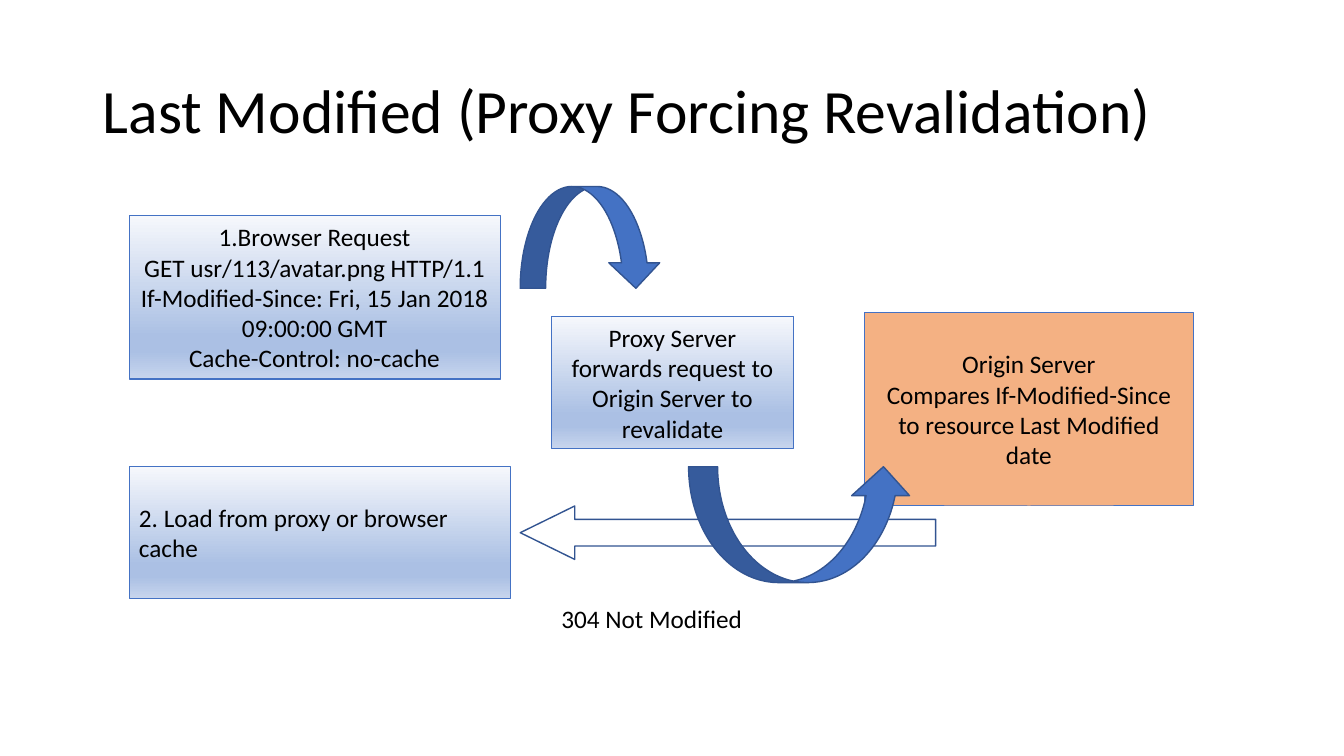
from lxml.etree import SubElement
from pptx import Presentation
from pptx.dml.color import RGBColor
from pptx.enum.shapes import MSO_SHAPE
from pptx.enum.text import MSO_ANCHOR, PP_ALIGN
from pptx.oxml.ns import qn
from pptx.util import Inches, Pt

STOPS = [(0, "F6F8FC"), (74, "ABC0E4"), (83, "ABC0E4"), (100, "C7D5ED")]


def write(shape, text, size=18, align=PP_ALIGN.CENTER, gap=1.0):
    frame = shape.text_frame
    frame.word_wrap = True
    frame.vertical_anchor = MSO_ANCHOR.MIDDLE
    frame.text = text
    for line in frame.paragraphs:
        line.alignment = align
        line.line_spacing = gap
        line.font.size = Pt(size)
        line.font.name = "Calibri"
        line.font.color.rgb = RGBColor.from_string("000000")


def draw(kind, place, fill, edge, width):
    """Add a shape; fill is a hex colour or a list of gradient stops."""
    shape = slide.shapes.add_shape(kind, *map(Inches, place))
    shape.shadow.inherit = False
    shape.line.color.rgb = RGBColor.from_string(edge)
    shape.line.width = Pt(width)
    if isinstance(fill, str):
        shape.fill.solid()
        shape.fill.fore_color.rgb = RGBColor.from_string(fill)
        return shape
    shape.fill.gradient()
    shape.fill.gradient_angle = 270
    stops = next(shape.element.iter(qn("a:gsLst")))
    for old in list(stops):
        stops.remove(old)
    for pos, color in fill:
        stop = SubElement(stops, qn("a:gs"), pos=str(pos * 1000))
        SubElement(stop, qn("a:srgbClr"), val=color)
    return shape


deck = Presentation()
deck.slide_width, deck.slide_height = Inches(13.33), Inches(7.5)
slide = deck.slides.add_slide(deck.slide_layouts[6])

# Reply arrow, behind everything else
reply = draw(MSO_SHAPE.LEFT_ARROW, (5.16, 5.02, 4.12, 0.53), "FFFFFF", "325491", 1)
reply.adjustments[1] = 1.02

# Title and reply label
labels = [
    ((0.92, 0.4, 11.5, 1.45), "Last Modified (Proxy Forcing Revalidation)", 44, 0.9),
    ((5.47, 5.94, 2.1, 0.4), "304 Not Modified", 18, 1.0),
]
for place, text, size, gap in labels:
    label = slide.shapes.add_textbox(*map(Inches, place))
    write(label, text, size=size, align=PP_ALIGN.LEFT, gap=gap)

# Steps
request = """1.Browser Request
GET usr/113/avatar.png HTTP/1.1
If-Modified-Since: Fri, 15 Jan 2018 09:00:00 GMT
Cache-Control: no-cache"""
origin = """Origin Server
Compares If-Modified-Since to resource Last Modified date"""
proxy = "Proxy Server forwards request to Origin Server to revalidate"
load = "2. Load from proxy or browser cache"
steps = [
    ((1.28, 2.14, 3.68, 1.62), STOPS, request, PP_ALIGN.CENTER),
    ((1.28, 4.63, 3.78, 1.31), STOPS, load, PP_ALIGN.LEFT),
    ((8.57, 3.1, 3.27, 1.92), "F4B183", origin, PP_ALIGN.CENTER),
    ((5.47, 3.14, 2.4, 1.31), STOPS, proxy, PP_ALIGN.CENTER),
]
for place, fill, text, align in steps:
    box = draw(MSO_SHAPE.RECTANGLE, place, fill, "4472C4", 0.75)
    write(box, text, align=align)

# Curved arrows to the proxy and on to the origin
draw(MSO_SHAPE.CURVED_DOWN_ARROW, (5.16, 1.85, 1.4, 1.01), "4472C4", "325491", 1)
draw(MSO_SHAPE.CURVED_UP_ARROW, (6.83, 4.63, 2.22, 1.15), "4472C4", "325491", 1)

deck.save("out.pptx")
